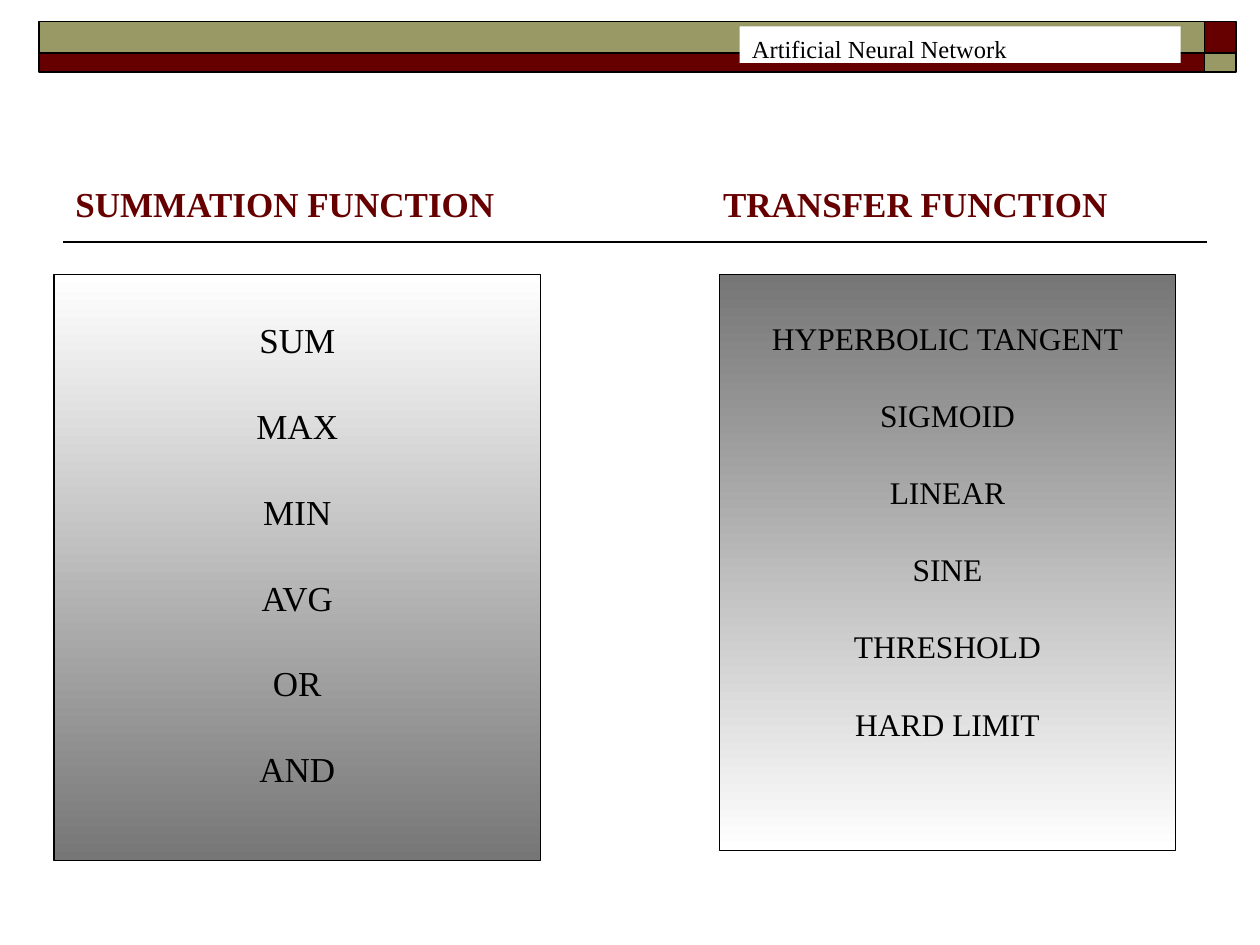
from pptx import Presentation
from pptx.dml.color import RGBColor
from pptx.enum.shapes import MSO_CONNECTOR, MSO_SHAPE
from pptx.enum.text import MSO_ANCHOR, PP_ALIGN
from pptx.util import Inches, Pt
from lxml import etree

FONT = "Times New Roman"
MAROON, OLIVE, BLACK, WHITE, GRAY = "660000", "999966", "000000", "FFFFFF", "767676"


def color(hex_code):
    return RGBColor.from_string(hex_code)


def add_box(slide, left, top, width, height, fill=None, line_width=None):
    box = slide.shapes.add_shape(MSO_SHAPE.RECTANGLE, Inches(left), Inches(top),
                                 Inches(width), Inches(height))
    box.shadow.inherit = False
    if fill:
        box.fill.solid()
        box.fill.fore_color.rgb = color(fill)
    if line_width:
        box.line.color.rgb = color(BLACK)
        box.line.width = Pt(line_width)
    else:
        box.line.fill.background()
    return box


def write(frame, lines, size, hex_code=BLACK, bold=False, align=PP_ALIGN.LEFT, gap=0):
    frame.word_wrap = True
    frame.text = "\n".join(lines)
    for paragraph in frame.paragraphs:
        paragraph.alignment = align
        paragraph.space_after = Pt(gap)
        for run in paragraph.runs:
            run.font.name = FONT
            run.font.size = Pt(size)
            run.font.bold = bold
            run.font.color.rgb = color(hex_code)


def add_banner(slide, left, top, width):
    corner, upper, lower = 0.25, 0.25, 0.15
    band = width - corner
    rows = [(top, upper, OLIVE, MAROON), (top + upper, lower, MAROON, OLIVE)]
    for row_top, height, band_fill, corner_fill in rows:
        add_box(slide, left, row_top, band, height, band_fill, 1)
        add_box(slide, left + band, row_top, corner, height, corner_fill, 1)


def add_topic_label(slide, left, top, width, height, topic):
    frame = add_box(slide, left, top, width, height, WHITE).text_frame
    frame.vertical_anchor = MSO_ANCHOR.TOP
    frame.margin_top, frame.margin_bottom = Inches(0.06), 0
    write(frame, [topic], 14)


def add_rule(slide, left, top, width):
    rule = slide.shapes.add_connector(MSO_CONNECTOR.STRAIGHT, Inches(left), Inches(top),
                                      Inches(left + width), Inches(top))
    rule.line.color.rgb = color(BLACK)
    rule.line.width = Pt(1)
    properties = rule.line._get_or_add_ln().getparent()
    namespace = etree.QName(properties.find("{*}ln")).namespace
    etree.SubElement(properties, f"{{{namespace}}}effectLst")


def add_heading(slide, left, top, width, height, heading):
    frame = slide.shapes.add_textbox(Inches(left), Inches(top),
                                     Inches(width), Inches(height)).text_frame
    frame.vertical_anchor = MSO_ANCHOR.BOTTOM
    write(frame, [heading], 20, MAROON, bold=True)


def add_function_panel(slide, left, top, width, height, functions, size, shades):
    """Panel shaded from top to bottom, listing one function per line."""
    panel = add_box(slide, left, top, width, height, line_width=0.75)
    panel.fill.gradient()
    panel.fill.gradient_angle = 270
    for stop, position, shade in zip(panel.fill.gradient_stops, (0, 1), shades):
        stop.position = position
        stop.color.rgb = color(shade)
    frame = panel.text_frame
    frame.vertical_anchor = MSO_ANCHOR.TOP
    frame.margin_top = Inches(0.35)
    write(frame, functions, size, align=PP_ALIGN.CENTER, gap=1.25 * size)


def main():
    deck = Presentation()
    deck.slide_width, deck.slide_height = Inches(10), Inches(7.5)
    slide = deck.slides.add_slide(deck.slide_layouts[6])

    add_rule(slide, 0.5, 1.92, 9.08)
    add_banner(slide, 0.31, 0.17, 9.5)
    add_heading(slide, 0.5, 1.33, 4, 0.5, "SUMMATION FUNCTION")
    add_heading(slide, 5.64, 1.33, 3.86, 0.5, "TRANSFER FUNCTION")
    add_function_panel(slide, 0.43, 2.18, 3.86, 4.65,
                       ["SUM", "MAX", "MIN", "AVG", "OR", "AND"],
                       20, (WHITE, GRAY))
    add_function_panel(slide, 5.71, 2.18, 3.62, 4.57,
                       ["HYPERBOLIC TANGENT", "SIGMOID", "LINEAR", "SINE",
                        "THRESHOLD", "HARD LIMIT"],
                       18, (GRAY, WHITE))
    add_topic_label(slide, 5.87, 0.21, 3.5, 0.29, "Artificial Neural Network")

    deck.save("out.pptx")


if __name__ == "__main__":
    main()
